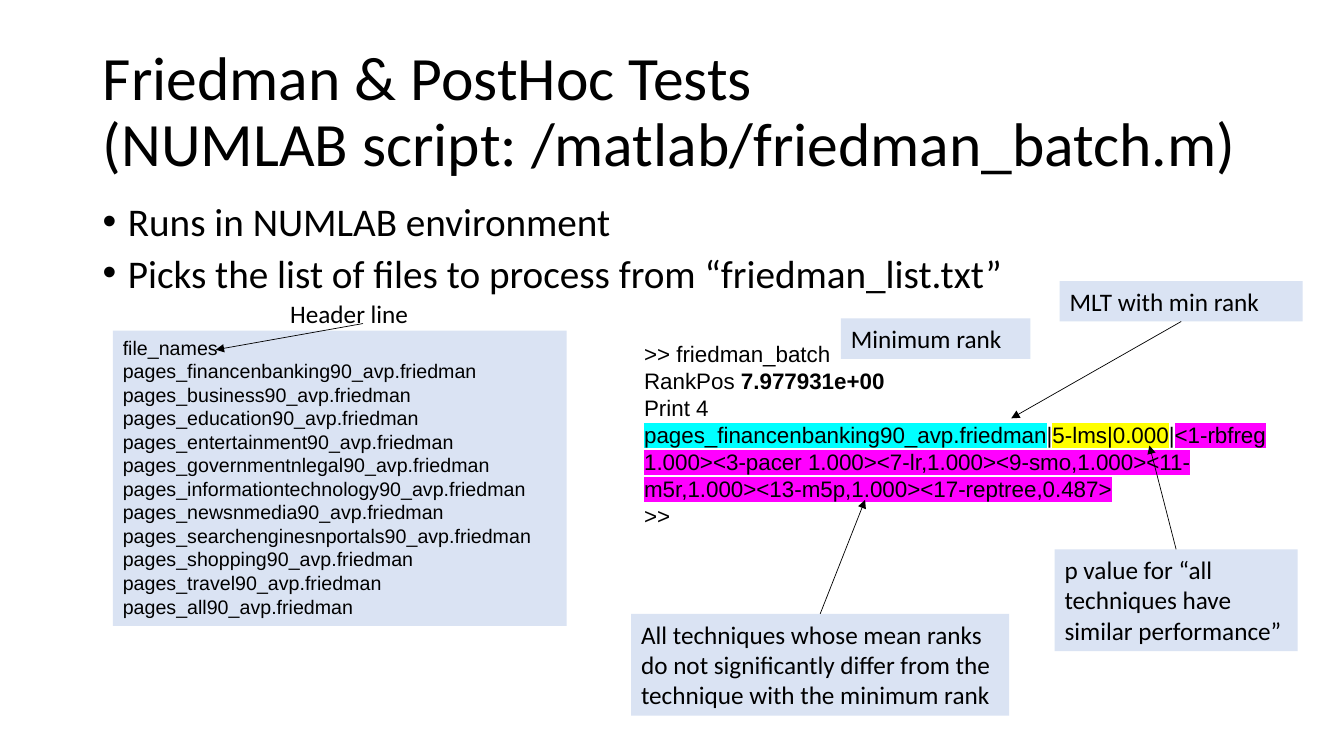
import dataclasses

import lxml.etree
import pptx
import pptx.dml.color
import pptx.enum.shapes
import pptx.enum.text
import pptx.oxml
import pptx.oxml.ns
import pptx.util

PX = 9144
TOP, BOTTOM = 0, 2


@dataclasses.dataclass(frozen=True)
class Theme:
    """Colours, fonts and type sizes of the slide."""
    ink: str = "000000"
    panel: str = "DAE3F3"
    cyan: str = "00FFFF"
    yellow: str = "FFFF00"
    magenta: str = "FF00FF"
    prose: str = "Calibri"
    mono: str = "Arial"
    title: int = 44
    body: int = 28
    note: int = 18
    output: int = 16
    listing: int = 14
    arrow: float = 0.5


THEME = Theme()

FILES = ["file_names"] + [
    f"pages_{topic}90_avp.friedman"
    for topic in (
        "financenbanking", "business", "education", "entertainment",
        "governmentnlegal", "informationtechnology", "newsnmedia",
        "searchenginesnportals", "shopping", "travel", "all",
    )
]

OUTPUT = [
    [(">> friedman_batch", False, None)],
    [("RankPos ", False, None), ("7.977931e+00", True, None)],
    [("Print 4", False, None)],
    [
        ("pages_financenbanking90_avp.friedman", False, THEME.cyan),
        ("|", False, None),
        ("5-lms|0.000", False, THEME.yellow),
        ("|", False, None),
        ("<1-rbfreg 1.000><3-pacer 1.000><7-lr,1.000><9-smo,1.000>"
         "<11-m5r,1.000><13-m5p,1.000><17-reptree,0.487>", False, THEME.magenta),
    ],
    [(">>", False, None)],
]


def emu(box):
    """Turn px lengths into EMU."""
    return [pptx.util.Emu(length * PX) for length in box]


def rgb(colour):
    """Return a colour object for a hex string."""
    return pptx.dml.color.RGBColor.from_string(colour)


def add_text(paragraph, text, size, face, bold=False, highlight=None):
    """Add one styled run, highlighted when a colour is given."""
    run = paragraph.add_run()
    run.text = text
    run.font.size = pptx.util.Pt(size)
    run.font.bold = bold
    run.font.name = face
    run.font.color.rgb = rgb(THEME.ink)
    if highlight:
        ns = pptx.oxml.ns.nsdecls("a")
        marker = pptx.oxml.parse_xml(
            f'<a:highlight {ns}><a:srgbClr val="{highlight}"/></a:highlight>')
        run.font.fill._xPr.find(pptx.oxml.ns.qn("a:solidFill")).addnext(marker)


def add_lines(frame, lines, size, face):
    """Write lines of (text, bold, highlight) pieces as left-aligned paragraphs."""
    frame.word_wrap = True
    frame.vertical_anchor = pptx.enum.text.MSO_ANCHOR.TOP
    for index, pieces in enumerate(lines):
        paragraph = frame.add_paragraph() if index else frame.paragraphs[0]
        paragraph.alignment = pptx.enum.text.PP_ALIGN.LEFT
        for text, bold, highlight in pieces:
            add_text(paragraph, text, size, face, bold, highlight)


def add_panel(slide, box, lines, size, face):
    """Add a tinted rectangle holding plain lines of text."""
    panel = slide.shapes.add_shape(
        pptx.enum.shapes.MSO_SHAPE.RECTANGLE, *emu(box))
    panel.shadow.inherit = False
    panel.fill.solid()
    panel.fill.fore_color.rgb = rgb(THEME.panel)
    panel.line.fill.background()
    add_lines(panel.text_frame, [[(line, False, None)] for line in lines], size, face)
    return panel


def add_arrow(slide, start, end, source=None, side=None):
    """Draw a thin arrow, joined to a side of its source panel if there is one."""
    arrow = slide.shapes.add_connector(
        pptx.enum.shapes.MSO_CONNECTOR.STRAIGHT, *emu(start + end))
    if source is not None:
        arrow.begin_connect(source, side)
    arrow.line.color.rgb = rgb(THEME.ink)
    arrow.line.width = pptx.util.Pt(THEME.arrow)
    line = arrow.line._get_or_add_ln()
    lxml.etree.SubElement(line, pptx.oxml.ns.qn("a:tailEnd"), type="triangle")
    lxml.etree.SubElement(
        arrow._element.spPr, pptx.oxml.ns.qn("a:effectLst"))


def add_title(slide, box):
    """Place and fill the two-line title."""
    title = slide.shapes.title
    title.left, title.top, title.width, title.height = emu(box)
    frame = title.text_frame
    frame.auto_size = pptx.enum.text.MSO_AUTO_SIZE.NONE
    frame.vertical_anchor = pptx.enum.text.MSO_ANCHOR.MIDDLE
    heading = frame.paragraphs[0]
    heading.alignment = pptx.enum.text.PP_ALIGN.LEFT
    heading.line_spacing = 0.9
    add_text(heading, "Friedman & PostHoc Tests", THEME.title, THEME.prose)
    heading.add_line_break()
    add_text(heading, "(NUMLAB script: /matlab/friedman_batch.m)",
             THEME.title, THEME.prose)


def add_bullets(slide, box, points):
    """Add the bulleted introduction."""
    frame = slide.shapes.add_textbox(*emu(box)).text_frame
    add_lines(frame, [[(point, False, None)] for point in points],
              THEME.body, THEME.prose)
    indent = 25 * PX
    for index, paragraph in enumerate(frame.paragraphs):
        paragraph.line_spacing = 0.8
        paragraph.space_before = pptx.util.Pt(10 if index else 0)
        properties = paragraph._p.get_or_add_pPr()
        properties.set("marL", str(indent))
        properties.set("indent", str(-indent))
        lxml.etree.SubElement(
            properties, pptx.oxml.ns.qn("a:buFont"), typeface=THEME.mono)
        lxml.etree.SubElement(properties, pptx.oxml.ns.qn("a:buChar"), char="•")


def add_file_list(slide, box):
    """Add the file listing with its header-line label and arrow."""
    left, top, width, height = box
    add_panel(slide, box, FILES, THEME.listing, THEME.mono)
    label = slide.shapes.add_textbox(*emu((left + 166, top - 37, 188, 40)))
    add_lines(label.text_frame, [[("Header line", False, None)]],
              THEME.note, THEME.prose)
    add_arrow(slide, (left + 248, top - 7), (left + 102, top + 19))


def add_output(slide, box):
    """Add the script output with its explanatory panels and arrows."""
    left, top, width, height = box
    console = slide.shapes.add_textbox(*emu(box))
    add_lines(console.text_frame, OUTPUT, THEME.output, THEME.mono)
    notes = [
        ("Minimum rank", (205, -17, 188, 40), None, None),
        ("MLT with min rank", (422, -54, 241, 40), BOTTOM, (374, 82)),
        ("p value for “all techniques have similar performance”",
         (417, 212, 241, 101), TOP, (511, 109)),
        ("All techniques whose mean ranks do not significantly differ from "
         "the technique with the minimum rank",
         (-3, 276, 375, 101), TOP, (229, 163)),
    ]
    for text, (x, y, wide, high), side, target in notes:
        note = add_panel(slide, (left + x, top + y, wide, high), [text],
                         THEME.note, THEME.prose)
        if target:
            tip = (left + target[0], top + target[1])
            add_arrow(slide, (left + x, top + y), tip, note, side)


def main():
    """Build and save the slide."""
    deck = pptx.Presentation()
    deck.slide_width, deck.slide_height = emu((1333, 750))
    slide = deck.slides.add_slide(deck.slide_layouts.get_by_name("Title Only"))
    add_title(slide, (92, 40, 1150, 145))
    add_bullets(slide, (92, 200, 1150, 107), [
        "Runs in NUMLAB environment",
        "Picks the list of files to process from “friedman_list.txt”",
    ])
    add_file_list(slide, (112, 328, 450, 293))
    add_output(slide, (629, 333, 667, 199))
    deck.save("out.pptx")


if __name__ == "__main__":
    main()
